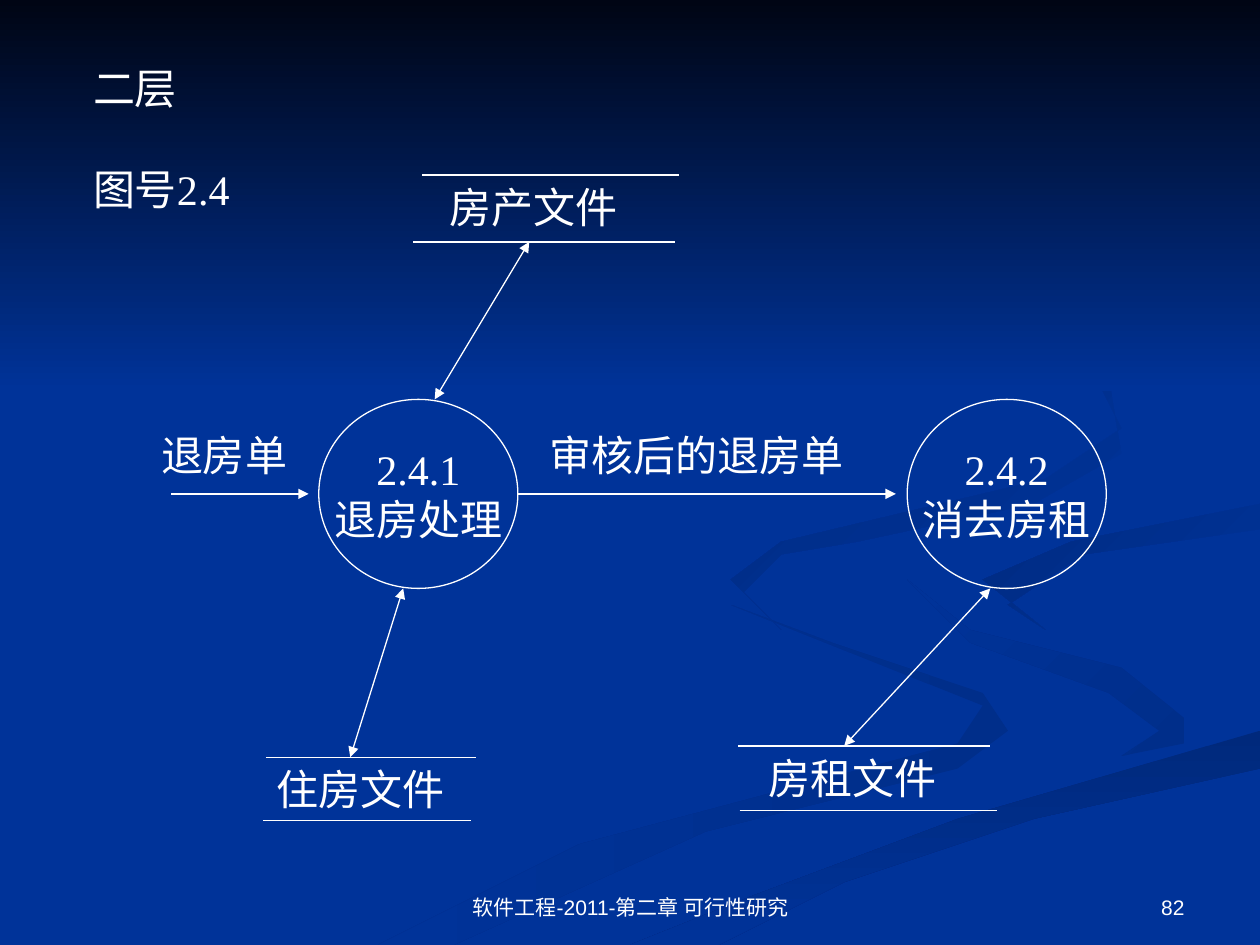
from lxml import etree
from pptx import Presentation
from pptx.dml.color import RGBColor
from pptx.enum.shapes import MSO_CONNECTOR, MSO_SHAPE
from pptx.enum.text import MSO_ANCHOR, PP_ALIGN
from pptx.oxml.ns import qn
from pptx.util import Inches, Pt

LEFT, CENTER, RIGHT = PP_ALIGN.LEFT, PP_ALIGN.CENTER, PP_ALIGN.RIGHT
TOP, MIDDLE, BOTTOM = MSO_ANCHOR.TOP, MSO_ANCHOR.MIDDLE, MSO_ANCHOR.BOTTOM
STRAIGHT, OVAL = MSO_CONNECTOR.STRAIGHT, MSO_SHAPE.OVAL
COLORS = {k: RGBColor.from_string(v) for k, v in {
    "white": "FFFFFF", "blue": "003399", "night": "000514",
    "shade": "002E8A", "deep": "00297C", "dim": "002B81"}.items()}
BODY = {"name": "Times New Roman", "size": Pt(24)}
FOOTER = {"name": "Arial", "size": Pt(12)}

prs = Presentation()
prs.slide_width, prs.slide_height = Inches(10), Inches(7.5)
U = prs.slide_width // 100  # grid of 100 columns by 75 rows
s = prs.slides.add_slide(prs.slide_layouts[6])
s.background.fill.solid()
s.background.fill.fore_color.rgb = COLORS["blue"]


def write(sp, lines, font, align=LEFT, anchor=TOP, wrap=False, gap=0):
    tf = sp.text_frame
    tf.word_wrap, tf.vertical_anchor = wrap, anchor
    tf.margin_left = tf.margin_right = U
    tf.margin_top = tf.margin_bottom = U // 2
    for i, line in enumerate(lines):
        p = tf.add_paragraph() if i else tf.paragraphs[0]
        p.alignment, p.space_before = align, Pt(gap if i else 0)
        r = p.add_run()
        r.text = line
        for key, value in font.items():
            setattr(r.font, key, value)
        r.font.color.rgb = COLORS["white"]


def add_line(x1, y1, x2, y2, *ends):
    """Draw a white line; ends lists the arrowheads, headEnd before tailEnd."""
    c = s.shapes.add_connector(
        STRAIGHT, *(round(v * U) for v in (x1, y1, x2, y2)))
    c.line.color.rgb, c.line.width = COLORS["white"], Pt(0.75)
    for end in ends:
        etree.SubElement(c.line._get_or_add_ln(), qn(f"a:{end}")).set("type", "triangle")
    etree.SubElement(c._element.spPr, qn("a:effectLst"))


# Background ribbons and night sky: start colour, end colour, clockwise angle, outline
BACKDROP = [
    ("shade", "blue", 180, [
        (78, 55), (80, 58), (76, 61), (56, 66), (36, 75), (30, 75), (46, 67),
        (76, 59), (78, 56), (58, 48), (66, 51)]),
    ("shade", "blue", 225, [
        (94, 57), (89, 53), (77, 50), (72, 46), (77, 51), (88, 55), (92, 58),
        (89, 60), (94, 59)]),
    ("deep", "blue", 90, [
        (50, 75), (57, 75), (67, 70), (82, 65), (100, 61), (100, 58), (76, 65),
        (60, 71)]),
    ("blue", "dim", 225, [
        (100, 40), (100, 42), (86, 44), (80, 48), (83, 50), (78, 46), (85, 43)]),
    ("blue", "dim", 225, [
        (68, 43), (82, 40), (89, 36), (88, 30), (76, 23), (87, 30), (89, 34),
        (83, 38), (62, 43), (58, 46), (62, 50), (59, 47), (62, 44)]),
    ("night", "blue", 90, [(0, 0), (0, 30.8), (100, 30.8), (100, 0)]),
]
for start, end, angle, outline in BACKDROP:
    builder = s.shapes.build_freeform(*outline[0], scale=U)
    builder.add_line_segments(outline[1:], close=True)
    sp = builder.convert_to_shape()
    sp.shadow.inherit = False
    sp.line.fill.background()
    sp.fill.gradient()
    sp.fill.gradient_angle = 360 - angle
    for stop, color in zip(sp.fill.gradient_stops, (start, end)):
        stop.color.rgb = COLORS[color]

# Processes
for x, lines in ((25.3, ["2.4.1", "退房处理"]), (72, ["2.4.2", "消去房租"])):
    sp = s.shapes.add_shape(OVAL, *(round(v * U) for v in (x, 31.7, 15.8, 15)))
    sp.shadow.inherit = False
    sp.fill.background()
    sp.line.color.rgb, sp.line.width = COLORS["white"], Pt(0.75)
    write(sp, lines, BODY, CENTER, MIDDLE)

# Data stores: caption, its left and top, then both rules
for name, x, y, upper, lower, depth in (
        ("房产文件", 34.7, 13.9, (33.5, 53.9), (32.8, 53.6), 5.3),
        ("住房文件", 21, 60.1, (21.1, 37.8), (20.9, 37.4), 5),
        ("房租文件", 60, 59.2, (58.6, 78.6), (58.7, 79.1), 5.1)):
    for (x1, x2), rule_y in ((upper, y), (lower, y + depth)):
        add_line(x1, rule_y, x2, rule_y)
    write(s.shapes.add_textbox(*(round(v * U) for v in (x, y, 15.3, 5))), [name], BODY)

# Data flows: one-way between processes, two-way to the stores
for name, x, width, x1, x2 in (("退房单", 11.8, 12, 13.6, 24.5),
                               ("审核后的退房单", 42.6, 25.3, 41.1, 71.1)):
    add_line(x1, 39.2, x2, 39.2, "tailEnd")
    write(s.shapes.add_textbox(*(round(v * U) for v in (x, 33.6, width, 5))), [name], BODY)
for ends in ((42, 19.2, 34.5, 31.7), (32, 46.7, 27.8, 60.1), (78.6, 46.7, 67, 59.2)):
    add_line(*ends, "headEnd", "tailEnd")

# Heading, footer and page number
for box, lines, font, layout in (
        ((6.4, 4.5, 13.6, 13), ["二层", "图号2.4"], BODY, {"gap": 28.8}),
        ((34.2, 68.3, 31.7, 5.2), ["软件工程-2011-第二章 可行性研究"], FOOTER,
         {"align": CENTER, "anchor": BOTTOM, "wrap": True}),
        ((71.7, 68.3, 23.3, 5.2), ["82"], FOOTER,
         {"align": RIGHT, "anchor": BOTTOM, "wrap": True})):
    write(s.shapes.add_textbox(*(round(v * U) for v in box)), lines, font, **layout)

prs.save("out.pptx")
